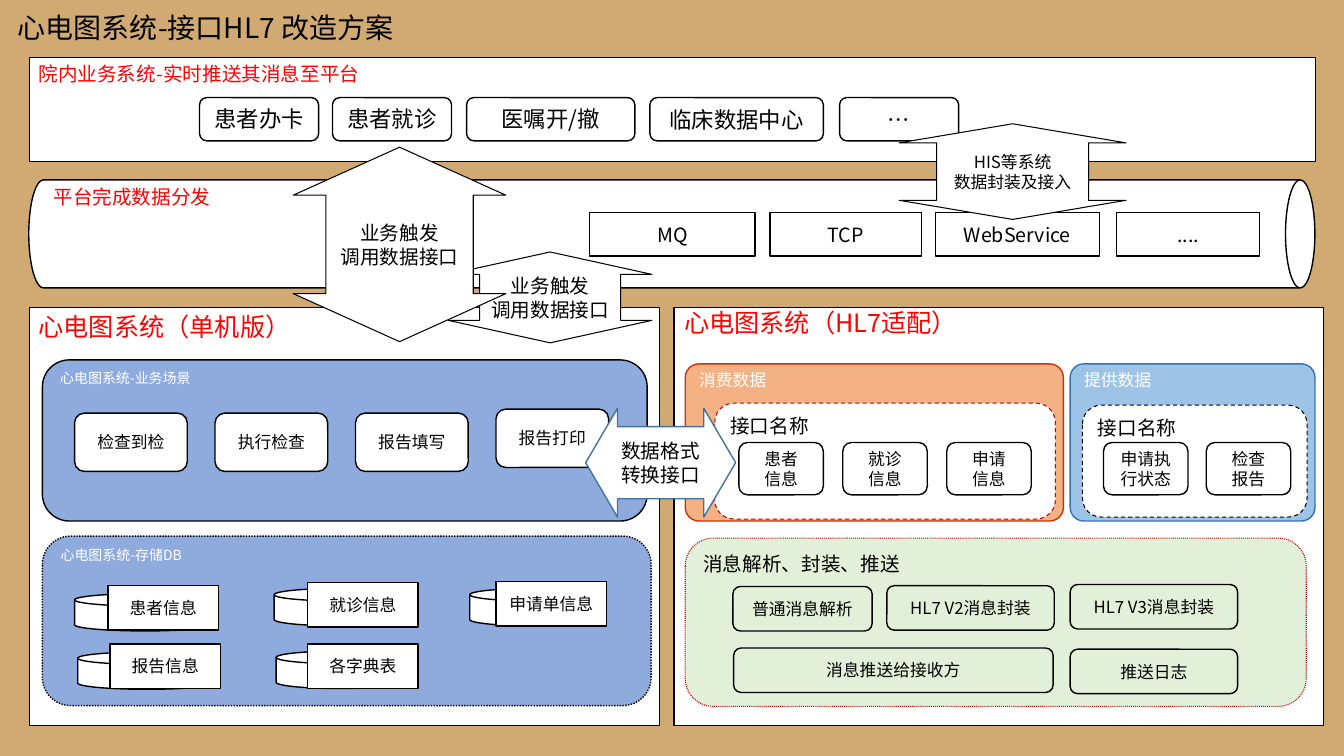
from pptx import Presentation
from pptx.dml.color import RGBColor
from pptx.enum.dml import MSO_LINE
from pptx.enum.shapes import MSO_SHAPE
from pptx.enum.text import MSO_ANCHOR, PP_ALIGN
from pptx.oxml.ns import qn
from pptx.util import Cm, Pt
from lxml.etree import SubElement

FONT = "Noto Sans CJK SC"
TAN = RGBColor(0xD1, 0xAA, 0x73)
WHITE = RGBColor(0xFF, 0xFF, 0xFF)
BLACK = RGBColor(0, 0, 0)
RED = RGBColor(0xFF, 0, 0)
CRIMSON = RGBColor(0xC0, 0, 0)
BRICK = RGBColor(0xCC, 0x33, 0)
BLUE = RGBColor(0x8F, 0xAA, 0xDC)
SKY = RGBColor(0x9D, 0xC3, 0xE6)
AZURE = RGBColor(0x2E, 0x75, 0xB6)
STEEL = RGBColor(0x43, 0x73, 0x9E)
ORANGE = RGBColor(0xF4, 0xB1, 0x83)
GREEN = RGBColor(0xE2, 0xF0, 0xD9)

RECT = MSO_SHAPE.RECTANGLE
ROUND = MSO_SHAPE.ROUNDED_RECTANGLE
DISK = MSO_SHAPE.FLOWCHART_MAGNETIC_DISK
UPDOWN = MSO_SHAPE.UP_DOWN_ARROW
SIDES = MSO_SHAPE.LEFT_RIGHT_ARROW
TOP, MIDDLE = MSO_ANCHOR.TOP, MSO_ANCHOR.MIDDLE
LEFT, CENTER = PP_ALIGN.LEFT, PP_ALIGN.CENTER

# Text margins in cm: left, top, right, bottom
PLAIN = (0.25, 0.13, 0.25, 0.13)
TURNED = (0.13, 0.25, 0.13, 0.25)
PANEL = (0.23, 0.1, 0.23, 0.1)
GROUP = (0.25, 0.05, 0.25, 0.13)
FLUSH = (0.25, 0, 0.25, 0.13)


def write(frame, text, size=12, color=BLACK, align=CENTER, anchor=MIDDLE,
          pad=PLAIN):
    """Fill a text frame, one paragraph for each line of the text."""
    frame.word_wrap = True
    frame.vertical_anchor = anchor
    (frame.margin_left, frame.margin_top,
     frame.margin_right, frame.margin_bottom) = map(Cm, pad)
    for i, line in enumerate(text.split("\n")):
        para = frame.add_paragraph() if i else frame.paragraphs[0]
        para.alignment = align
        run = para.add_run()
        run.text = line
        run.font.size = Pt(size)
        run.font.name = FONT
        run.font.color.rgb = color
        SubElement(run.font._element, qn("a:ea"), typeface=FONT)


def draw(slide, kind, area, text="", fill=WHITE, line=BLACK, width=1,
         dash=None, adjust=(), **style):
    """Draw a preset shape; area is left, top, width, height in cm."""
    shape = slide.shapes.add_shape(kind, *map(Cm, area))
    shape.shadow.inherit = False
    if fill is None:
        shape.fill.background()
    else:
        shape.fill.solid()
        shape.fill.fore_color.rgb = fill
    shape.line.color.rgb = line
    shape.line.width = Pt(width)
    if dash:
        shape.line.dash_style = dash
    for i, value in enumerate(adjust):
        shape.adjustments[i] = value
    if text:
        write(shape.text_frame, text, **style)
    return shape


def group(slide, kind, area, text, **style):
    """Draw a container whose caption sits at its top left."""
    return draw(slide, kind, area, text, align=LEFT, anchor=TOP, **style)


def pill(slide, area, text, **style):
    draw(slide, ROUND, area, text, **{"fill": None, **style})


def arrow(slide, kind, area, text, shaft, head, **style):
    """Draw a double arrow; shaft and head are its guide values."""
    shape = draw(slide, kind, area, text, **style)
    guides = shape._element.spPr.find(qn("a:prstGeom")).get_or_add_avLst()
    for old in list(guides):
        guides.remove(old)
    for name, value in (("adj1", shaft), ("adj2", head)):
        SubElement(guides, qn("a:gd"), name=name, fmla=f"val {value}")


def store(slide, text, disk, label):
    """Draw a disk (left, top, width) with a label (left, top) on it."""
    draw(slide, DISK, (*disk, 0.94))
    draw(slide, RECT, (*label, 2.79, 1.12), text)


def hospital(slide):
    group(slide, RECT, (0.74, 1.45, 32.41, 2.62),
          "院内业务系统-实时推送其消息至平台", size=14, color=RED, pad=PANEL)
    for text, x, w, anchor in (
            ("患者办卡", 5.03, 3, TOP), ("患者就诊", 8.38, 3, TOP),
            ("医嘱开/撤", 11.76, 4.24, TOP),
            ("临床数据中心", 16.38, 4.37, MIDDLE), ("…", 21.16, 3, MIDDLE)):
        pill(slide, (x, 2.46, w, 1.09), text, size=16, anchor=anchor)


def platform(slide):
    pipe = group(slide, MSO_SHAPE.CAN, (15.57, -10.31, 2.72, 32.41),
                 "平台完成数据分发", adjust=(0.272,), size=14, color=RED,
                 pad=TURNED)
    pipe.rotation = 90
    pipe.text_frame._txBody.bodyPr.set("vert", "vert270")
    for text, x, w in (("MQ", 14.86, 4.17), ("TCP", 19.41, 3.81),
                       ("WebService", 23.57, 4.14), ("....", 28.14, 3.61)):
        draw(slide, RECT, (x, 5.36, w, 1.09), text, size=14)


def local(slide):
    group(slide, RECT, (0.74, 7.75, 15.88, 10.54), "心电图系统（单机版）",
          size=18, color=RED, pad=PANEL)
    group(slide, ROUND, (1.07, 13.51, 15.34, 4.27), "心电图系统-存储DB",
          fill=BLUE, dash=MSO_LINE.ROUND_DOT, size=10, color=WHITE, pad=GROUP)
    for text, disk, label in (
            ("患者信息", (1.88, 14.96, 3.56), (2.72, 14.76)),
            ("就诊信息", (6.91, 14.83, 3.25), (7.75, 14.68)),
            ("申请单信息", (11.84, 14.83, 3.15), (12.5, 14.66)),
            ("各字典表", (6.96, 16.41, 3.15), (7.75, 16.23)),
            ("报告信息", (1.96, 16.43, 3.48), (2.77, 16.23))):
        store(slide, text, disk, label)
    group(slide, ROUND, (1.07, 9.07, 15.24, 4.06), "心电图系统-业务场景",
          fill=BLUE, size=10, color=WHITE, pad=GROUP)
    steps = (("检查到检", 10.41), ("执行检查", 10.41),
             ("报告填写", 10.41), ("报告打印", 10.31))
    for i, (text, y) in enumerate(steps):
        pill(slide, (1.88 + 3.54 * i, y, 2.84, 1.47), text, fill=WHITE)


def adapter(slide):
    group(slide, RECT, (16.99, 7.75, 16.36, 10.54), "心电图系统（HL7适配）",
          size=18, color=RED, pad=FLUSH)
    for text, area, fill, line, inner, edge, left, step, names in (
            ("消费数据", (17.27, 9.17, 9.53, 3.96), ORANGE, BRICK,
             (18.01, 10.16, 8.59, 2.92), CRIMSON, 18.62, 2.62,
             ("患者\n信息", "就诊\n信息", "申请\n信息")),
            ("提供数据", (26.97, 9.17, 6.17, 3.96), SKY, AZURE,
             (27.28, 10.21, 5.66, 2.82), BLACK, 27.81, 2.59,
             ("申请执行状态", "检查\n报告"))):
        group(slide, ROUND, area, text, fill=fill, line=line,
              adjust=(0.087,), color=WHITE, pad=GROUP)
        group(slide, ROUND, inner, "接口名称", line=edge, width=0.75,
              dash=MSO_LINE.DASH, size=14)
        for i, name in enumerate(names):
            pill(slide, (left + step * i, 11.15, 2.13, 1.32), name)
    group(slide, ROUND, (17.27, 13.56, 15.65, 4.24), "消息解析、封装、推送",
          fill=GREEN, line=CRIMSON, width=0.75, dash=MSO_LINE.ROUND_DOT,
          size=14)
    for text, x, y, w in (
            ("普通消息解析", 18.47, 14.78, 3.51),
            ("HL7 V2消息封装", 22.35, 14.76, 4.22),
            ("HL7 V3消息封装", 26.97, 14.73, 4.22),
            ("消息推送给接收方", 18.49, 16.33, 8.05),
            ("推送日志", 26.97, 16.36, 4.22)):
        pill(slide, (x, y, w, 1.12), text)


def links(slide):
    arrow(slide, UPDOWN, (22.66, 3.12, 5.72, 2.41), "HIS等系统\n数据封装及接入",
          66900, 20000, width=0.75)
    for area in ((11.3, 6.35, 5.13, 2.29), (7.39, 3.71, 5.36, 4.9)):
        arrow(slide, UPDOWN, area, "业务触发\n调用数据接口",
              69300, 24700, width=0.75, size=14)
    arrow(slide, SIDES, (14.76, 10.29, 3.78, 2.74), "数据格式\n转换接口",
          66400, 29300, line=STEEL, size=14)


def main():
    deck = Presentation()
    deck.slide_width, deck.slide_height = Cm(33.87), Cm(19.05)
    slide = deck.slides.add_slide(deck.slide_layouts[6])
    slide.background.fill.solid()
    slide.background.fill.fore_color.rgb = TAN
    title = slide.shapes.add_textbox(Cm(0.2), Cm(0.13), Cm(12.57), Cm(1.12))
    write(title.text_frame, "心电图系统-接口HL7 改造方案", size=20,
          align=LEFT, anchor=TOP)
    for part in (hospital, platform, local, adapter, links):
        part(slide)
    deck.save("out.pptx")


if __name__ == "__main__":
    main()
